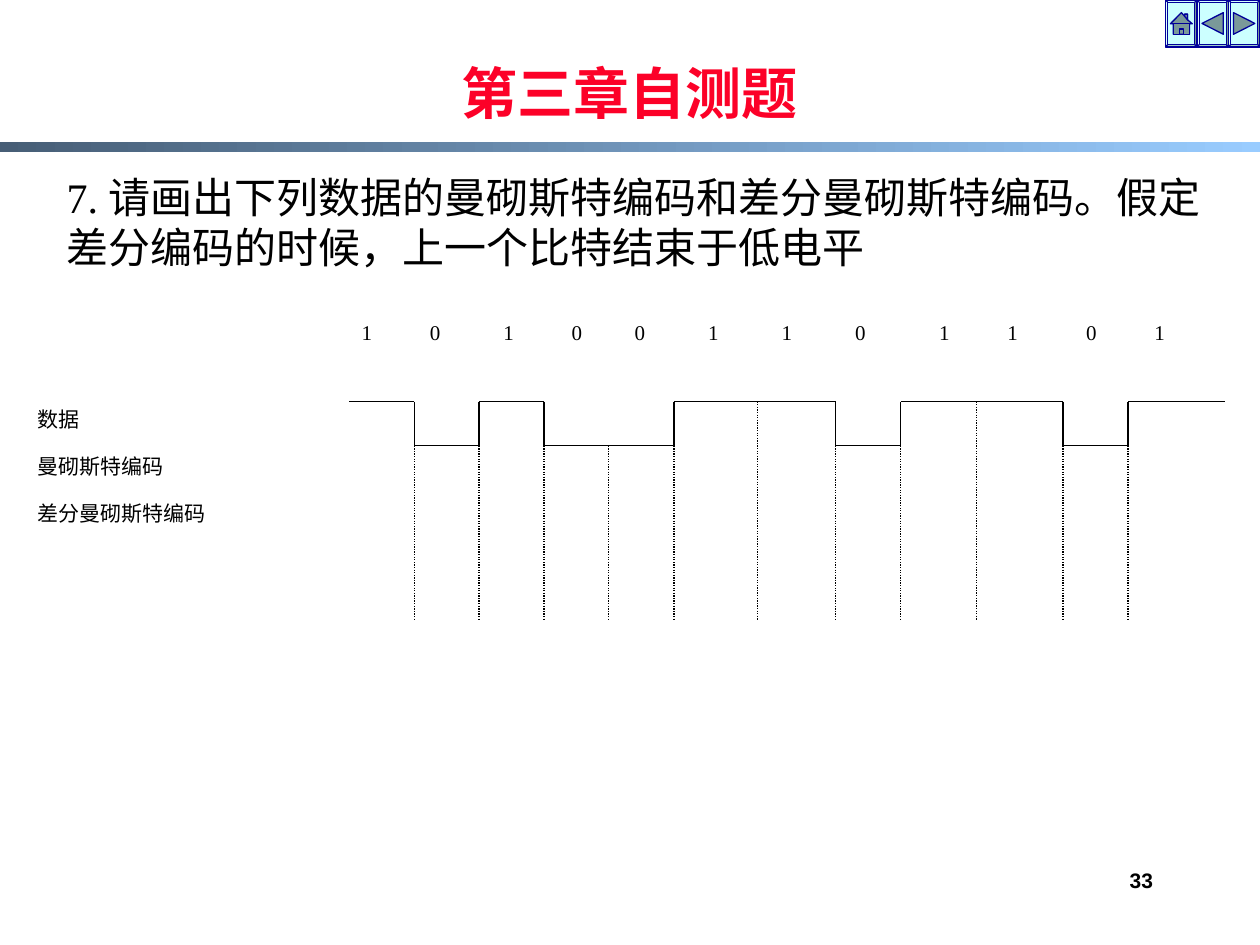
from dataclasses import dataclass
from itertools import accumulate, groupby, pairwise

from lxml.etree import SubElement
from pptx import Presentation
from pptx.dml.color import RGBColor
from pptx.enum.dml import MSO_LINE
from pptx.enum.shapes import MSO_CONNECTOR, MSO_SHAPE
from pptx.enum.text import MSO_ANCHOR, PP_ALIGN
from pptx.oxml.ns import qn
from pptx.util import Pt


@dataclass(frozen=True)
class Theme:
    black: RGBColor = RGBColor(0, 0, 0)
    white: RGBColor = RGBColor(255, 255, 255)
    title: RGBColor = RGBColor(0xFC, 0x01, 0x28)
    bar_start: RGBColor = RGBColor(0x47, 0x5E, 0x76)
    bar_end: RGBColor = RGBColor(0x99, 0xCC, 0xFF)
    button: RGBColor = RGBColor(0xCC, 0xFF, 0xFF)
    button_line: RGBColor = RGBColor(0, 0, 0x99)
    icon: RGBColor = RGBColor(0x7A, 0x99, 0x99)
    heading_font: str = "Arial"
    body_font: str = "Times New Roman"
    title_size: int = 32
    question_size: int = 24
    small_size: int = 12
    line_width: float = 0.75


THEME = Theme()
BITS = "101001101101"
BIT_EDGES = [199.5, 236.7, 273.7, 310.9, 347.9, 385.1, 432.8,
             477.6, 514.6, 558, 607.4, 644.6, 699.8]
DIGIT_GAPS = [39, 42, 39, 36, 42, 42, 42, 48, 39, 45, 39]
HIGH, LOW, GUIDE_BOTTOM = 229.5, 254.7, 354.7
BUTTON_WIDTH, BUTTON_HEIGHT = 18, 26.8

HOUSE = [(9.1, 7.2), (11, 9.4), (11, 8.1), (12.6, 8.1), (12.6, 11.3), (15.3, 13.6),
         (13.7, 13.6), (13.7, 19.6), (4.5, 19.6), (4.5, 13.6), (2.8, 13.6)]
CHIMNEY = [(11, 9.4), (11, 8.1), (12.6, 8.1), (12.6, 11.3)]
WALLS = [(7.9, 16.6), (10.1, 16.6), (10.1, 19.6), (13.7, 19.6), (13.7, 13.6),
         (4.5, 13.6), (4.5, 19.6), (7.9, 19.6)]
BACK = [(2.9, 13.4), (15.1, 7.2), (15.1, 19.6)]
FORWARD = [(2.9, 7.2), (15.1, 13.4), (2.9, 19.6)]
BUTTON_ICONS = [[HOUSE, CHIMNEY, WALLS], [BACK], [FORWARD]]


def add_text(slide, text, box, *, size, font=THEME.body_font, color=THEME.black,
             bold=False, align=PP_ALIGN.LEFT, anchor=MSO_ANCHOR.TOP,
             line_spacing=1.0, gap=0, fill=None, tab_stops=()):
    shape = slide.shapes.add_textbox(*map(Pt, box))
    if fill is not None:
        shape.fill.solid()
        shape.fill.fore_color.rgb = fill
    frame = shape.text_frame
    frame.word_wrap = True
    frame.vertical_anchor = anchor
    frame.text = text
    for index, paragraph in enumerate(frame.paragraphs):
        paragraph.alignment = align
        paragraph.line_spacing = line_spacing
        if index:
            paragraph.space_before = Pt(gap)
        if tab_stops:
            properties = paragraph._p.get_or_add_pPr()
            tab_list = SubElement(properties, qn("a:tabLst"))
            for stop in tab_stops:
                SubElement(tab_list, qn("a:tab"), pos=str(Pt(stop)), algn="l")
        for run in paragraph.runs:
            run.font.name = font
            run.font.size = Pt(size)
            run.font.bold = bold
            run.font.color.rgb = color


def add_line(slide, start, end, dash=None):
    line = slide.shapes.add_connector(MSO_CONNECTOR.STRAIGHT, *map(Pt, (*start, *end)))
    line.line.color.rgb = THEME.black
    line.line.width = Pt(THEME.line_width)
    if dash is not None:
        line.line.dash_style = dash
    SubElement(line._element.spPr, qn("a:effectLst"))


def style_button_part(shape, color):
    shape.shadow.inherit = False
    shape.fill.solid()
    shape.fill.fore_color.rgb = color
    shape.line.color.rgb = THEME.button_line
    shape.line.width = Pt(THEME.line_width)


def add_button(slide, left, outlines):
    button = slide.shapes.add_shape(
        MSO_SHAPE.BEVEL, Pt(left), 0, Pt(BUTTON_WIDTH), Pt(BUTTON_HEIGHT))
    button.adjustments[0] = 0.07
    style_button_part(button, THEME.button)
    for outline in outlines:
        points = [(Pt(left + x), Pt(y)) for x, y in outline]
        builder = slide.shapes.build_freeform(*points[0])
        builder.add_line_segments(points[1:], close=True)
        style_button_part(builder.convert_to_shape(), THEME.icon)


def add_title_bar(slide):
    bar = slide.shapes.add_shape(MSO_SHAPE.RECTANGLE, 0, Pt(81.2), Pt(720), Pt(5.4))
    bar.shadow.inherit = False
    bar.line.fill.background()
    bar.fill.gradient()
    bar.fill.gradient_angle = 0
    for stop, position, color in zip(bar.fill.gradient_stops, (0, 1),
                                     (THEME.bar_start, THEME.bar_end)):
        stop.position = position
        stop.color.rgb = color


def add_waveform(slide):
    levels = [HIGH if bit == "1" else LOW for bit in BITS]
    position = 0
    previous = None
    for level, members in groupby(levels):
        start = position
        position += len(list(members))
        if previous is not None:
            add_line(slide, (BIT_EDGES[start], previous), (BIT_EDGES[start], level))
        add_line(slide, (BIT_EDGES[start], level), (BIT_EDGES[position], level))
        previous = level
    for edge, neighbours in zip(BIT_EDGES[1:-1], pairwise(levels)):
        add_line(slide, (edge, max(neighbours)), (edge, GUIDE_BOTTOM), MSO_LINE.ROUND_DOT)


def main():
    presentation = Presentation()
    presentation.slide_width, presentation.slide_height = Pt(720), Pt(540)
    slide = presentation.slides.add_slide(presentation.slide_layouts[6])

    add_title_bar(slide)
    first_button = 720 - len(BUTTON_ICONS) * BUTTON_WIDTH
    for index, outlines in enumerate(BUTTON_ICONS):
        add_button(slide, first_button + index * BUTTON_WIDTH, outlines)

    add_text(slide, "33", (516, 492, 150, 36), size=THEME.small_size,
             font=THEME.heading_font, bold=True, align=PP_ALIGN.RIGHT)
    add_text(slide, "第三章自测题", (78, 9.4, 564, 66), size=THEME.title_size,
             font=THEME.heading_font, color=THEME.title, bold=True,
             align=PP_ALIGN.CENTER, anchor=MSO_ANCHOR.BOTTOM, line_spacing=1.5)
    add_text(slide, "7. 请画出下列数据的曼砌斯特编码和差分曼砌斯特编码。"
             "假定差分编码的时候，上一个比特结束于低电平",
             (31, 94.3, 680.4, 64.8), size=THEME.question_size)

    add_waveform(slide)
    add_text(slide, "数据\n曼砌斯特编码\n差分曼砌斯特编码", (14.4, HIGH, 185, 125.2),
             size=THEME.small_size, align=PP_ALIGN.JUSTIFY, line_spacing=0.96,
             gap=13.2, fill=THEME.white)
    add_text(slide, "\t".join(BITS), (BIT_EDGES[0], 179.3, 500.3, 37.4),
             size=THEME.small_size, fill=THEME.white,
             tab_stops=list(accumulate(DIGIT_GAPS)))
    presentation.save("out.pptx")


if __name__ == "__main__":
    main()
